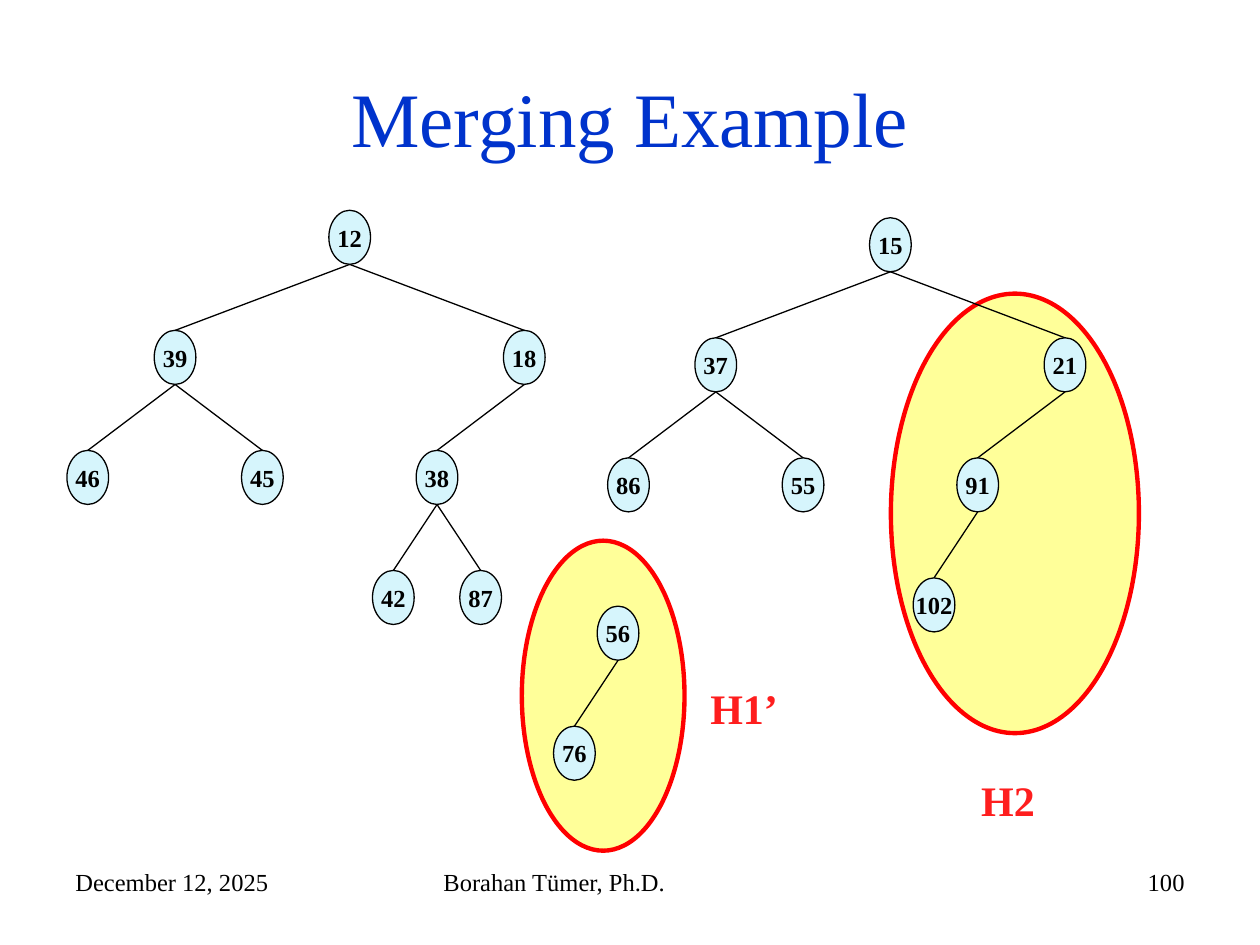
from lxml.etree import SubElement
from pptx import Presentation
from pptx.dml.color import RGBColor
from pptx.enum.shapes import MSO_CONNECTOR, MSO_SHAPE
from pptx.enum.text import MSO_ANCHOR, MSO_AUTO_SIZE, PP_ALIGN
from pptx.oxml.ns import qn
from pptx.util import Cm, Pt


def color(code):
    return RGBColor.from_string(code)


def write(shape, text, size, code, align, bold=False):
    """Put one styled line of text into a shape."""
    para = shape.text_frame.paragraphs[0]
    para.alignment = align
    run = para.add_run()
    run.text = text
    run.font.color.rgb = color(code)
    style = {"name": "Times New Roman", "size": Pt(size), "bold": bold}
    for key, value in style.items():
        setattr(run.font, key, value)


deck = Presentation()
deck.slide_width, deck.slide_height = Cm(25.4), Cm(19.05)
slide = deck.slides.add_slide(deck.slide_layouts[6])
shapes = slide.shapes

LEFT, MID, RIGHT = PP_ALIGN.LEFT, PP_ALIGN.CENTER, PP_ALIGN.RIGHT

# Title, footer and heap labels
labels = [
    ("Merging Example", (1.27, 0.76, 22.86, 3.18), 44, "0033CC", MID, False),
    ("December 12, 2025", (1.27, 17.35, 5.92, 1.32), 14, "000000", LEFT, False),
    ("Borahan Tümer, Ph.D.", (8.69, 17.35, 8.05, 1.32), 14, "000000", LEFT, False),
    ("100", (18.21, 17.35, 5.92, 1.32), 14, "000000", RIGHT, False),
    ("H1’", (14.07, 13.64, 1.96, 1.27), 24, "FE1E1E", LEFT, True),
    ("H2", (19.53, 15.49, 1.96, 1.27), 24, "FE1E1E", LEFT, True),
]
for text, place, size, code, align, bold in labels:
    box = shapes.add_textbox(*[Cm(v) for v in place])
    frame = box.text_frame
    frame.word_wrap = True
    if size == 44:
        frame.vertical_anchor = MSO_ANCHOR.MIDDLE
    if bold:
        frame.auto_size = MSO_AUTO_SIZE.SHAPE_TO_FIT_TEXT
    write(box, text, size, code, align, bold)

# Ovals that mark the two heaps to merge
for place in [(17.96, 5.92, 5.0, 8.86), (10.52, 10.9, 3.28, 6.25)]:
    oval = shapes.add_shape(MSO_SHAPE.OVAL, *[Cm(v) for v in place])
    oval.shadow.inherit = False
    oval.fill.solid()
    oval.fill.fore_color.rgb = color("FFFF99")
    oval.line.color.rgb = color("FF0000")
    oval.line.width = Pt(2.5)

# Trees: root centre, root top, root spread, and values by path from the root
WIDE, HIGH, DROP = 0.84, 1.09, 2.42
trees = [
    (7.05, 4.24, 3.52, {"": 12, "L": 39, "R": 18, "LL": 46, "LR": 45,
                        "RL": 38, "RLL": 42, "RLR": 87}),
    (17.95, 4.39, 3.52, {"": 15, "L": 37, "R": 21, "LL": 86, "LR": 55,
                         "RL": 91, "RLL": 102}),
    (12.46, 12.22, 0.88, {"": 56, "L": 76}),
]
for root, top, spread, nodes in trees:
    spots = {"": root}
    for route, value in nodes.items():
        depth = len(route)
        y = top + depth * DROP
        if route:
            start = spots[route[:-1]]
            shift = spread / 2 ** (depth - 1)
            spots[route] = start + (shift if route[-1] == "R" else -shift)
            edge = shapes.add_connector(
                MSO_CONNECTOR.STRAIGHT, Cm(start), Cm(y - DROP + HIGH),
                Cm(spots[route]), Cm(y))
            edge.line.color.rgb = color("000000")
            edge.line.width = Pt(0.75)
            SubElement(edge._element.spPr, qn("a:effectLst"))
        node = shapes.add_shape(
            MSO_SHAPE.OVAL, Cm(spots[route] - WIDE / 2), Cm(y), Cm(WIDE), Cm(HIGH))
        node.shadow.inherit = False
        node.fill.solid()
        node.fill.fore_color.rgb = color("D6F5FC")
        node.line.color.rgb = color("000000")
        node.line.width = Pt(0.75)
        node.text_frame.word_wrap = False
        node.text_frame.vertical_anchor = MSO_ANCHOR.MIDDLE
        write(node, str(value), 14, "000000", MID, True)

deck.save("out.pptx")
